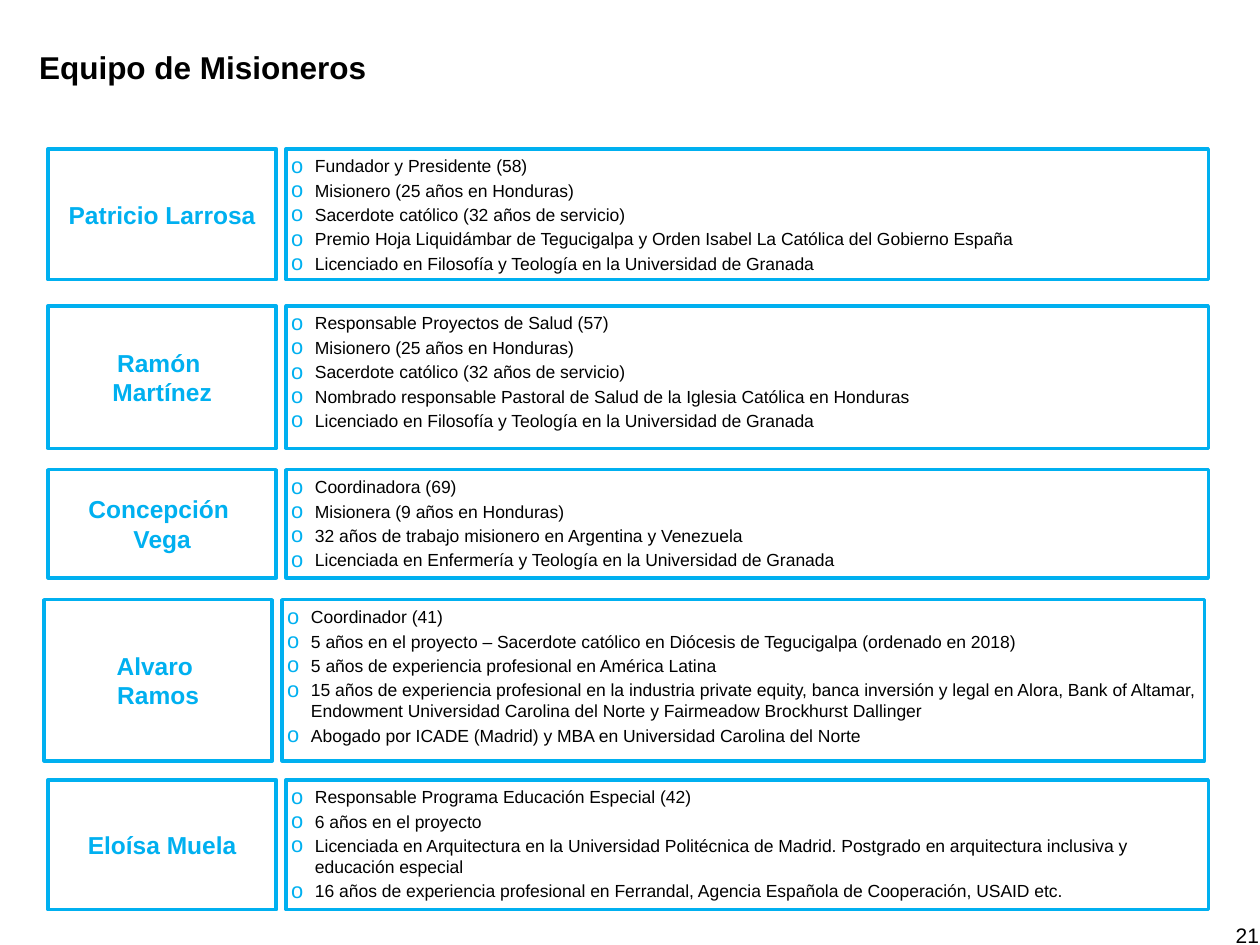
from dataclasses import dataclass

from lxml import etree
from pptx import Presentation
from pptx.dml.color import RGBColor
from pptx.enum.shapes import MSO_SHAPE
from pptx.enum.text import MSO_ANCHOR, PP_ALIGN
from pptx.oxml.ns import qn
from pptx.util import Cm, Pt

RECTANGLE = MSO_SHAPE.RECTANGLE
TOP, MIDDLE = MSO_ANCHOR.TOP, MSO_ANCHOR.MIDDLE
LEFT, CENTER = PP_ALIGN.LEFT, PP_ALIGN.CENTER


@dataclass(frozen=True)
class Theme:
    font: str = "Arial"
    accent: str = "00B0F0"
    ink: str = "000000"
    title_size: float = 18
    name_size: float = 14
    profile_size: float = 10
    number_size: float = 12
    border: float = 2


THEME = Theme()

# Row geometry in centimetres
ROW_LEFT, NAME_WIDTH = 0.97, 4.6
PROFILE_OFFSET, PROFILE_WIDTH = 4.8, 18.59
BULLET_INDENT = 0.48

# Each member: left, top, height, name lines, profile points
TEAM = [
    (ROW_LEFT, 3.0, 2.64, ["Patricio Larrosa"], [
        "Fundador y Presidente (58)",
        "Misionero (25 años en Honduras)",
        "Sacerdote católico (32 años de servicio)",
        "Premio Hoja Liquidámbar de Tegucigalpa y Orden Isabel La Católica del Gobierno España",
        "Licenciado en Filosofía y Teología en la Universidad de Granada",
    ]),
    (ROW_LEFT, 6.17, 2.87, ["Ramón ", "Martínez"], [
        "Responsable Proyectos de Salud (57)",
        "Misionero (25 años en Honduras)",
        "Sacerdote católico (32 años de servicio)",
        "Nombrado responsable Pastoral de Salud de la Iglesia Católica en Honduras",
        "Licenciado en Filosofía y Teología en la Universidad de Granada",
    ]),
    (ROW_LEFT, 9.47, 2.18, ["Concepción ", "Vega"], [
        "Coordinadora (69)",
        "Misionera (9 años en Honduras)",
        "32 años de trabajo misionero en Argentina y Venezuela",
        "Licenciada en Enfermería y Teología en la Universidad de Granada",
    ]),
    (0.89, 12.09, 3.25, ["Alvaro ", "Ramos"], [
        "Coordinador (41)",
        "5 años en el proyecto – Sacerdote católico en Diócesis de Tegucigalpa (ordenado en 2018)",
        "5 años de experiencia profesional en América Latina",
        "15 años de experiencia profesional en la industria private equity, banca inversión "
        "y legal en Alora, Bank of Altamar, Endowment Universidad Carolina del Norte "
        "y Fairmeadow Brockhurst Dallinger",
        "Abogado por ICADE (Madrid) y MBA en Universidad Carolina del Norte",
    ]),
    (ROW_LEFT, 15.72, 2.62, ["Eloísa Muela"], [
        "Responsable Programa Educación Especial (42)",
        "6 años en el proyecto",
        "Licenciada en Arquitectura en la Universidad Politécnica de Madrid. "
        "Postgrado en arquitectura inclusiva y educación especial",
        "16 años de experiencia profesional en Ferrandal, Agencia Española de Cooperación, USAID etc.",
    ]),
]


def write_lines(frame, lines, size, color, bold=False, align=LEFT, before=0,
                margins=(0.25, 0.13), anchor=TOP):
    side, edge = (Cm(margin) for margin in margins)
    frame_format = {
        "word_wrap": True, "vertical_anchor": anchor,
        "margin_left": side, "margin_right": side,
        "margin_top": edge, "margin_bottom": edge,
    }
    for attribute, value in frame_format.items():
        setattr(frame, attribute, value)
    run_format = {"name": THEME.font, "size": Pt(size), "bold": bold}
    for index, line in enumerate(lines):
        paragraph = frame.add_paragraph() if index else frame.paragraphs[0]
        paragraph.alignment = align
        paragraph.space_before = Pt(before)
        run = paragraph.add_run()
        run.text = line
        for attribute, value in run_format.items():
            setattr(run.font, attribute, value)
        run.font.color.rgb = RGBColor.from_string(color)


def add_bullet(paragraph):
    properties = paragraph._p.get_or_add_pPr()
    properties.set("marL", str(Cm(BULLET_INDENT)))
    properties.set("indent", str(-Cm(BULLET_INDENT)))
    bullet_color = etree.SubElement(properties, qn("a:buClr"))
    etree.SubElement(bullet_color, qn("a:srgbClr"), val=THEME.accent)
    etree.SubElement(properties, qn("a:buSzPct"), val="125000")
    etree.SubElement(properties, qn("a:buFont"), typeface=THEME.font)
    etree.SubElement(properties, qn("a:buChar"), char="o")


def add_frame(slide, left, top, width, height):
    frame = slide.shapes.add_shape(RECTANGLE, Cm(left), Cm(top), Cm(width), Cm(height))
    frame.shadow.inherit = False
    frame.fill.background()
    frame.line.color.rgb = RGBColor.from_string(THEME.accent)
    frame.line.width = Pt(THEME.border)
    return frame.text_frame


def add_member(slide, left, top, height, name, points):
    # Profile on the right
    profile = add_frame(slide, left + PROFILE_OFFSET, top, PROFILE_WIDTH, height)
    write_lines(profile, points, THEME.profile_size, THEME.ink,
                before=1.9, margins=(0.1, 0.13))
    for point in profile.paragraphs:
        add_bullet(point)
    # Name on the left
    name_frame = add_frame(slide, left, top, NAME_WIDTH, height)
    write_lines(name_frame, name, THEME.name_size, THEME.accent,
                bold=True, align=CENTER, anchor=MIDDLE)


def add_title(slide, left, top, width, height):
    title = slide.shapes.add_textbox(Cm(left), Cm(top), Cm(width), Cm(height))
    write_lines(title.text_frame, ["Equipo de Misioneros"], THEME.title_size,
                THEME.ink, bold=True, before=6, margins=(0, 0))


def add_page_number(slide, left, top, width, height):
    number = slide.shapes.add_textbox(Cm(left), Cm(top), Cm(width), Cm(height))
    write_lines(number.text_frame, ["21"], THEME.number_size, THEME.ink)


def main():
    deck = Presentation()
    deck.slide_width, deck.slide_height = Cm(25.4), Cm(19.05)
    slide = deck.slides.add_slide(deck.slide_layouts[6])
    add_title(slide, 0.79, 0.97, 24.61, 0.76)
    for member in TEAM:
        add_member(slide, *member)
    add_page_number(slide, 24.66, 18.47, 5.92, 1.02)
    deck.save("out.pptx")


if __name__ == "__main__":
    main()
